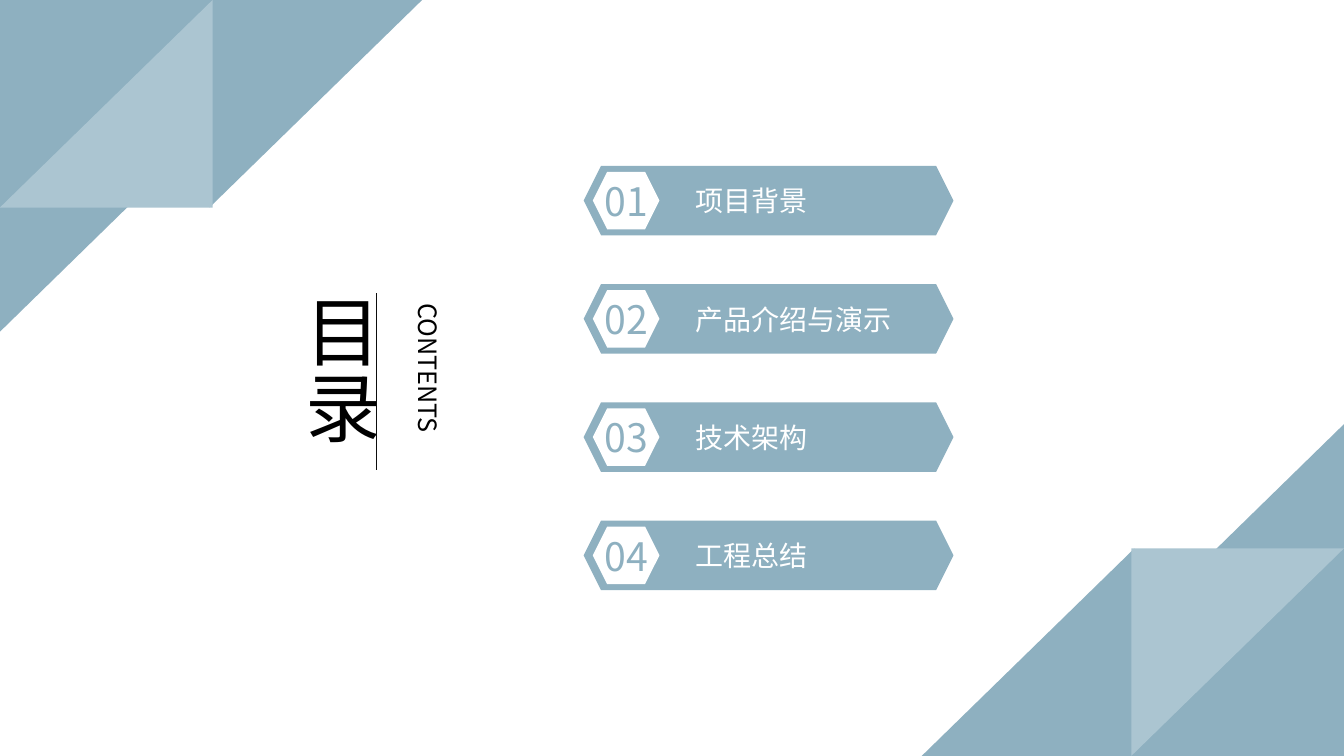
from dataclasses import dataclass

from lxml import etree
from pptx import Presentation
from pptx.dml.color import RGBColor
from pptx.enum.shapes import MSO_CONNECTOR, MSO_SHAPE
from pptx.enum.text import MSO_ANCHOR, MSO_AUTO_SIZE, PP_ALIGN
from pptx.oxml.ns import qn
from pptx.util import Cm, Pt

TRIANGLE, HEXAGON = MSO_SHAPE.RIGHT_TRIANGLE, MSO_SHAPE.HEXAGON
STRAIGHT = MSO_CONNECTOR.STRAIGHT
CENTER, JUSTIFY = PP_ALIGN.CENTER, PP_ALIGN.JUSTIFY
TOP, MIDDLE = MSO_ANCHOR.TOP, MSO_ANCHOR.MIDDLE
GROW = MSO_AUTO_SIZE.SHAPE_TO_FIT_TEXT


@dataclass(frozen=True)
class Theme:
    blue: RGBColor = RGBColor(0x8E, 0xB0, 0xC0)
    light_blue: RGBColor = RGBColor(0xAB, 0xC5, 0xD1)
    white: RGBColor = RGBColor(0xFF, 0xFF, 0xFF)
    black: RGBColor = RGBColor(0, 0, 0)
    rule: RGBColor = RGBColor(0x0D, 0x0D, 0x0D)
    font: str = "Noto Sans CJK JP"
    title_size: int = 54
    subtitle_size: int = 18
    number_size: int = 28
    label_size: int = 20
    rule_width: float = 0.5


THEME = Theme()
SLIDE_WIDTH, SLIDE_HEIGHT = 33.87, 19.05
CHAPTERS = ["项目背景", "产品介绍与演示", "技术架构", "工程总结"]


def to_cm(*lengths):
    return [Cm(length) for length in lengths]


def add_plain_shape(slide, kind, box, color):
    shape = slide.shapes.add_shape(kind, *to_cm(*box))
    shape.shadow.inherit = False
    shape.fill.solid()
    shape.fill.fore_color.rgb = color
    shape.line.fill.background()
    return shape


def add_label(slide, box, text, size, color, align=JUSTIFY, anchor=MIDDLE, vertical=False):
    frame = slide.shapes.add_textbox(*to_cm(*box)).text_frame
    frame.word_wrap = True
    frame.auto_size = GROW
    frame.vertical_anchor = anchor
    if vertical:
        frame._txBody.bodyPr.set("vert", "eaVert")
    paragraph = frame.paragraphs[0]
    paragraph.text = text
    paragraph.alignment = align
    font = paragraph.font
    font.size = Pt(size)
    font.name = THEME.font
    font.color.rgb = color
    etree.SubElement(font._rPr, qn("a:ea")).set("typeface", THEME.font)


def add_corner(slide, box, half_turn=False):
    """Fill a slide corner with three triangles, optionally turned by 180 degrees."""
    left, top, width, height = box
    small_width, small_height = 5.36, 5.23
    triangles = [
        (0, width, height, "flipV", THEME.blue),
        (5.28, small_width, small_height, "flipV", THEME.blue),
        (0, small_width, small_height, "flipH", THEME.light_blue),
    ]
    turned_flip = {"flipV": "flipH", "flipH": "flipV"}
    for offset, w, h, flip, color in triangles:
        x, y = left + offset, top
        if half_turn:
            x, y = left + width - offset - w, top + height - h
            flip = turned_flip[flip]
        triangle = add_plain_shape(slide, TRIANGLE, (x, y, w, h), color)
        triangle._element.spPr.get_or_add_xfrm().set(flip, "1")


def add_heading(slide, box):
    left, top, width, height = box
    add_label(slide, (left, top, 2.82, height), "目录", THEME.title_size,
              THEME.black, anchor=TOP, vertical=True)
    rule_x, rule_top, rule_height = left + 2.44, top + 0.23, 4.45
    rule = slide.shapes.add_connector(
        STRAIGHT, *to_cm(rule_x, rule_top, rule_x, rule_top + rule_height))
    rule.line.color.rgb = THEME.rule
    rule.line.width = Pt(THEME.rule_width)
    etree.SubElement(rule._element.spPr, qn("a:effectLst"))
    subtitle_width = 1.27
    add_label(slide, (left + width - subtitle_width, rule_top, subtitle_width, rule_height),
              "CONTENTS", THEME.subtitle_size, THEME.black, anchor=TOP, vertical=True)


def add_chapter(slide, box, number, name):
    left, top, width, height = box
    add_plain_shape(slide, HEXAGON, box, THEME.blue)
    badge = (left + 0.23, top + 0.15, 1.68, height - 0.3)
    add_plain_shape(slide, HEXAGON, badge, THEME.white)
    add_label(slide, badge, f"{number:02}", THEME.number_size, THEME.blue, align=CENTER)
    add_label(slide, (left + 2.57, top + 0.32, 6.07, height - 0.64), name,
              THEME.label_size, THEME.white)


def add_chapter_list(slide, box):
    left, top, width, height = box
    bar_height = 1.75
    pitch = (height - bar_height) / (len(CHAPTERS) - 1)
    for index, name in enumerate(CHAPTERS):
        add_chapter(slide, (left, top + index * pitch, width, bar_height), index + 1, name)


def main():
    presentation = Presentation()
    presentation.slide_width, presentation.slide_height = to_cm(SLIDE_WIDTH, SLIDE_HEIGHT)
    slide = presentation.slides.add_slide(presentation.slide_layouts[6])
    corner_width, corner_height = 8.56, 8.36
    add_corner(slide, (0, 0, corner_width, corner_height))
    add_corner(slide, (SLIDE_WIDTH - corner_width, SLIDE_HEIGHT - corner_height,
                       corner_width, corner_height), half_turn=True)
    add_heading(slide, (7.04, 7.16, 4.27, 4.72))
    add_chapter_list(slide, (14.71, 4.18, 9.32, 10.69))
    presentation.save("out.pptx")


if __name__ == "__main__":
    main()
